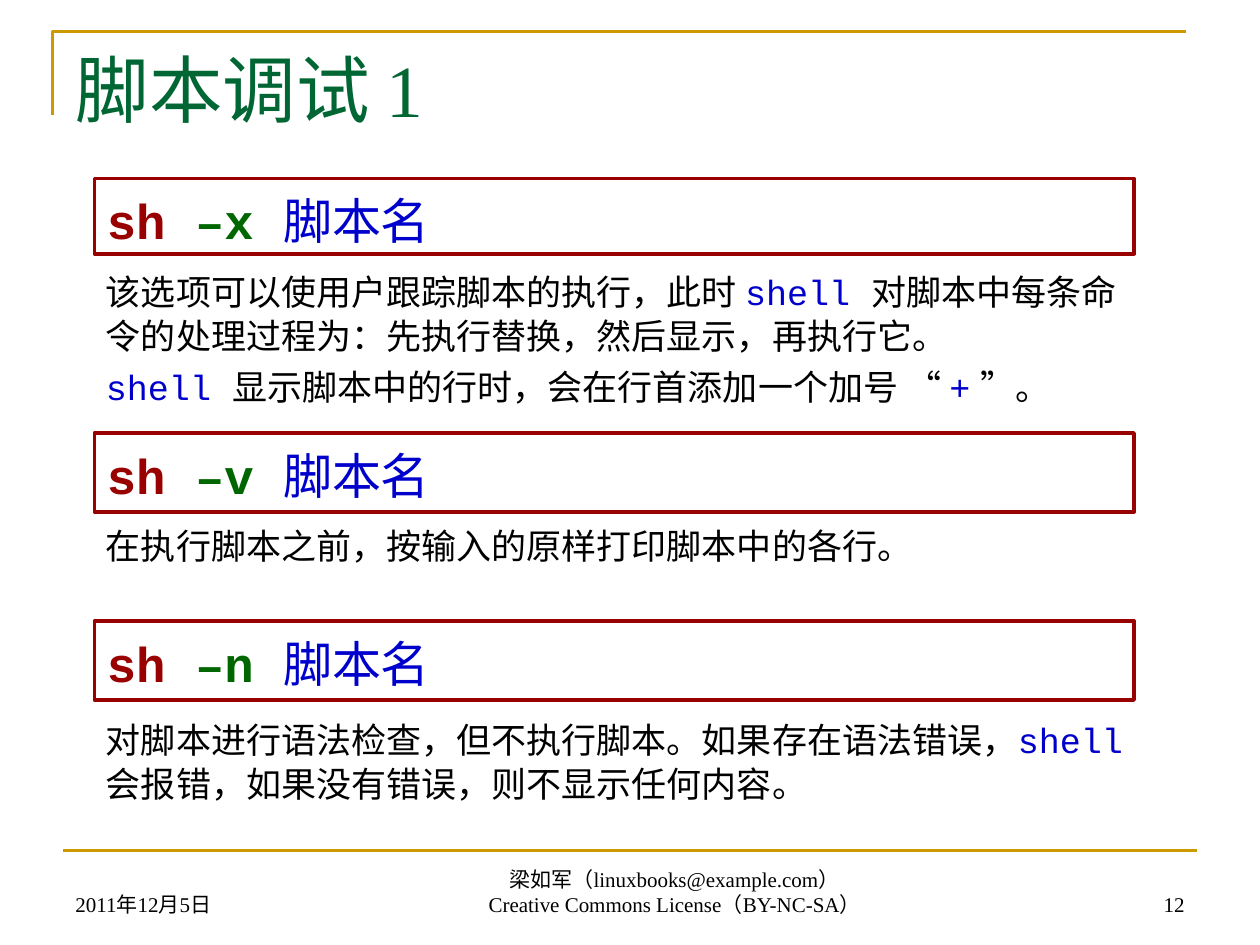
from pptx import Presentation
from pptx.dml.color import RGBColor
from pptx.enum.shapes import MSO_CONNECTOR, MSO_SHAPE
from pptx.enum.text import MSO_ANCHOR, MSO_AUTO_SIZE, PP_ALIGN
from pptx.util import Pt
from lxml.etree import SubElement
from pptx.oxml.ns import qn

# Content: plain strings are body text, ("code", text) marks code
TITLE = "脚本调试 1"
NAME = "脚本名"
SHELL = ("code", "shell ")
PARTS = [
    # flag, box top, box height, note top, note height, note paragraphs
    ("–x", 102, 43, 150, 88, [
        ["该选项可以使用户跟踪脚本的执行，此时 ", SHELL,
         "对脚本中每条命令的处理过程为：先执行替换，然后显示，再执行它。"],
        [SHELL, "显示脚本中的行时，会在行首添加一个加号 “ ",
         ("code", "+"), " ”。"]]),
    ("–v", 247.5, 45, 295, 31, [
        ["在执行脚本之前，按输入的原样打印脚本中的各行。"]]),
    ("–n", 355, 45, 406, 56, [
        ["对脚本进行语法检查，但不执行脚本。如果存在语法错误，", SHELL,
         "会报错，如果没有错误，则不显示任何内容。"]]),
]
FOOT = [
    # left, width, alignment, lines
    (36, 168, PP_ALIGN.LEFT, ["2011年12月5日"]),
    (173, 425, PP_ALIGN.CENTER, ["梁如军（linuxbooks@example.com）",
                                 "Creative Commons License（BY-NC-SA）"]),
    (516, 168, PP_ALIGN.RIGHT, ["12"]),
]


class Theme:
    serif, sans, mono = "Times New Roman", "Arial", "Courier New"
    green, gold, red = "006633", "CC9900", "990000"
    flag, blue, black = "006600", "0000CC", "000000"
    head, code, note, foot = 42, 28, 20, 12
    thin, thick = 1.5, 2.25


def style(run, face, size, color, bold=False):
    font = run.font
    font.name, font.size, font.bold = face, Pt(size), bold
    font.color.rgb = RGBColor.from_string(color)


def add_run(para, text, *look):
    run = para.add_run()
    run.text = text
    style(run, *look)


def stroke(line, color, width):
    line.color.rgb = RGBColor.from_string(color)
    line.width = Pt(width)


def text_box(left, top, width, height):
    box = slide.shapes.add_textbox(Pt(left), Pt(top), Pt(width), Pt(height))
    box.text_frame.word_wrap = True
    return box.text_frame


def add_rules():
    # Corner at the top
    pen = slide.shapes.build_freeform(Pt(30), Pt(66))
    pen.add_line_segments([(Pt(30), Pt(18)), (Pt(678), Pt(18))], close=False)
    edge = pen.convert_to_shape()
    edge.fill.background()
    edge.shadow.inherit = False
    stroke(edge.line, Theme.gold, Theme.thin)
    # Line above the footer
    rule = slide.shapes.add_connector(
        MSO_CONNECTOR.STRAIGHT, Pt(36), Pt(486), Pt(684), Pt(486))
    stroke(rule.line, Theme.gold, Theme.thin)
    SubElement(rule._element.spPr, qn("a:effectLst"))


def add_title():
    title = slide.shapes.title
    title.left, title.top = Pt(36), Pt(21.6)
    title.width, title.height = Pt(648), Pt(90)
    frame = title.text_frame
    frame.text = TITLE
    frame.vertical_anchor = MSO_ANCHOR.TOP
    frame.auto_size = MSO_AUTO_SIZE.NONE
    para = frame.paragraphs[0]
    para.alignment = PP_ALIGN.LEFT
    style(para.runs[0], Theme.serif, Theme.head, Theme.green)


def add_code(flag, top, height):
    box = slide.shapes.add_shape(
        MSO_SHAPE.RECTANGLE, Pt(54), Pt(top), Pt(594), Pt(height))
    box.fill.background()
    box.shadow.inherit = False
    stroke(box.line, Theme.red, Theme.thick)
    frame = box.text_frame
    frame.word_wrap = True
    frame.vertical_anchor = MSO_ANCHOR.TOP
    frame.auto_size = MSO_AUTO_SIZE.SHAPE_TO_FIT_TEXT
    para = frame.paragraphs[0]
    para.alignment = PP_ALIGN.LEFT
    para.line_spacing = 1.1
    for text, color, bold in (("sh ", Theme.red, True),
                              (flag + " ", Theme.flag, True),
                              (NAME, Theme.blue, False)):
        add_run(para, text, Theme.mono, Theme.code, color, bold)


def add_note(top, height, paras):
    frame = text_box(53.5, top, 596, height)
    frame.auto_size = MSO_AUTO_SIZE.SHAPE_TO_FIT_TEXT
    for i, parts in enumerate(paras):
        para = frame.add_paragraph() if i else frame.paragraphs[0]
        para.line_spacing = 1.05
        if i:
            para.space_before = Pt(4)
        for part in parts:
            if isinstance(part, tuple):
                add_run(para, part[1], Theme.mono, Theme.note, Theme.blue)
            else:
                add_run(para, part, Theme.sans, Theme.note, Theme.black)


def add_foot(left, width, align, lines):
    frame = text_box(left, 491.5, width, 36)
    frame.vertical_anchor = MSO_ANCHOR.BOTTOM
    frame.text = "\n".join(lines)
    for para in frame.paragraphs:
        para.alignment = align
        style(para.runs[0], Theme.serif, Theme.foot, Theme.black)


deck = Presentation()
deck.slide_width, deck.slide_height = Pt(720), Pt(540)
slide = deck.slides.add_slide(deck.slide_layouts[5])

add_rules()
add_title()
for flag, top, height, note_top, note_height, paras in PARTS:
    add_code(flag, top, height)
    add_note(note_top, note_height, paras)
for item in FOOT:
    add_foot(*item)

deck.save("out.pptx")
